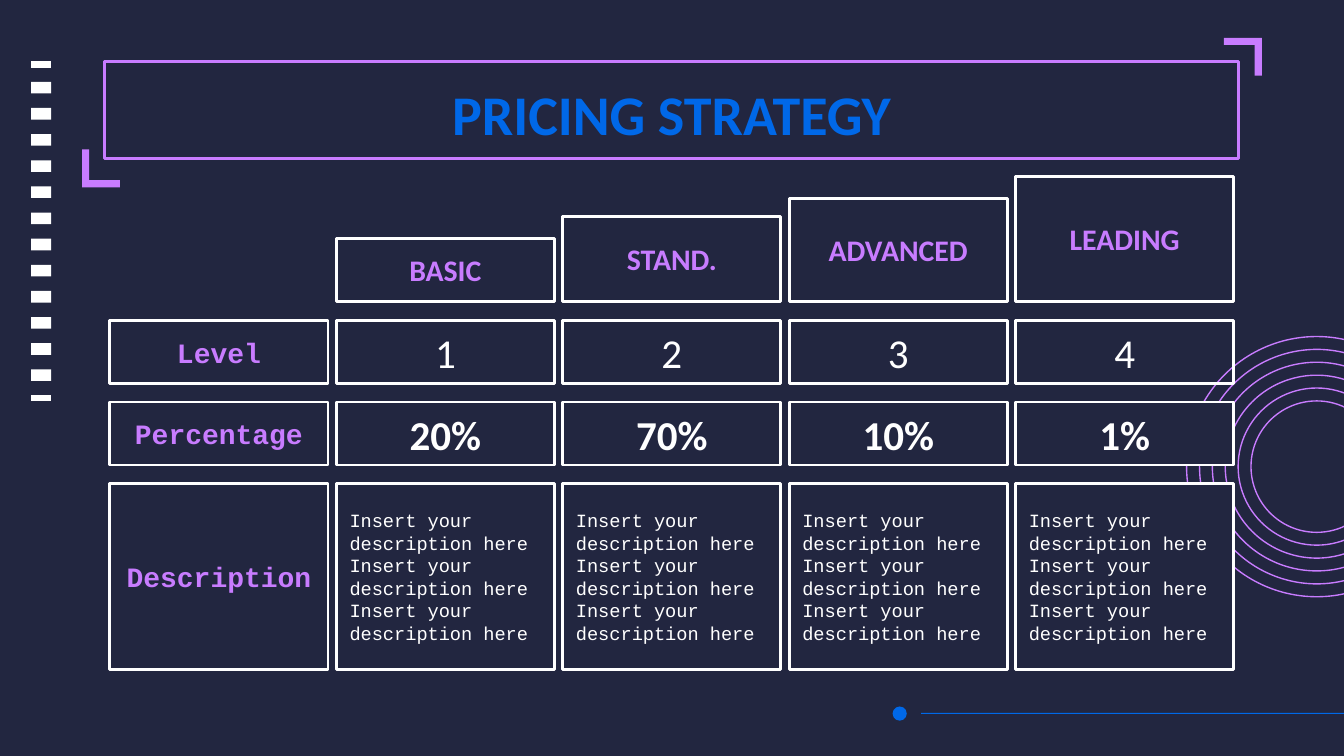
from pptx import Presentation
from pptx.dml.color import RGBColor
from pptx.enum.shapes import MSO_SHAPE
from pptx.enum.text import MSO_ANCHOR, PP_ALIGN
from pptx.util import Pt

RECT, OVAL = MSO_SHAPE.RECTANGLE, MSO_SHAPE.OVAL
TOP, MIDDLE = MSO_ANCHOR.TOP, MSO_ANCHOR.MIDDLE
LEFT, CENTER = PP_ALIGN.LEFT, PP_ALIGN.CENTER
NAVY, WHITE, PURPLE, BLUE = "222640", "FFFFFF", "C87CFF", "0068E8"
SANS, MONO = "Calibri", "Courier New"


def color(code):
    return RGBColor.from_string(code)


def write(shape, text, size=22, font=SANS, ink=WHITE, bold=False,
          align=CENTER, anchor=MIDDLE):
    frame = shape.text_frame
    frame.word_wrap = True
    frame.vertical_anchor = anchor
    frame.margin_left = frame.margin_right = Pt(7.2)
    frame.margin_top = frame.margin_bottom = Pt(7.2)
    para = frame.paragraphs[0]
    para.alignment = align
    run = para.add_run()
    run.text = text
    run.font.size = Pt(size)
    run.font.name = font
    run.font.bold = bold
    run.font.color.rgb = color(ink)


def block(x, y, w, h):
    return [(x, y), (x, y + h), (x + w, y + h), (x + w, y)]


class Deck:
    def __init__(self, width, height, back):
        self.show = Presentation()
        self.show.slide_width = Pt(width)
        self.show.slide_height = Pt(height)
        self.slide = self.show.slides.add_slide(self.show.slide_layouts[6])
        self.shapes = self.slide.shapes
        fill = self.slide.background.fill
        fill.solid()
        fill.fore_color.rgb = color(back)

    def style(self, shape, fill, line, weight):
        shape.shadow.inherit = False
        if fill:
            shape.fill.solid()
            shape.fill.fore_color.rgb = color(fill)
        else:
            shape.fill.background()
        if line:
            shape.line.color.rgb = color(line)
            shape.line.width = Pt(weight)
        else:
            shape.line.fill.background()
        return shape

    def box(self, x, y, w, h, fill=None, line=None, weight=1.5, kind=RECT):
        shape = self.shapes.add_shape(kind, Pt(x), Pt(y), Pt(w), Pt(h))
        return self.style(shape, fill, line, weight)

    def disc(self, x, y, r, **look):
        return self.box(x - r, y - r, 2 * r, 2 * r, kind=OVAL, **look)

    def outline(self, paths, fill):
        paths = [[(Pt(x), Pt(y)) for x, y in points] for points in paths]
        build = self.shapes.build_freeform(*paths[0][0])
        for order, points in enumerate(paths):
            if order:
                build.move_to(*points[0])
            build.add_line_segments(points[1:], close=True)
        return self.style(build.convert_to_shape(), fill, None, 0)

    def corner(self, x, y, sign, size=20.3, thick=3.8):
        steps = [(0, 0), (size, 0), (size, -thick), (thick, -thick),
                 (thick, -size), (0, -size)]
        self.outline([[(x + sign * a, y + sign * b) for a, b in steps]], PURPLE)

    def label(self, x, y, w, h, text, **form):
        shape = self.shapes.add_textbox(Pt(x), Pt(y), Pt(w), Pt(h))
        write(shape, text, **form)

    def cell(self, col, y, h, text, fill=NAVY, **form):
        shape = self.box(58.9 + 121.3 * col, y, 116.9, h, fill, WHITE)
        write(shape, text, **form)


def main():
    deck = Deck(720, 405, NAVY)

    for ring in range(6):
        deck.disc(705.4, 250, 35.2 + 6.9 * ring, line=PURPLE, weight=0.75)

    left, wide = 16.6, 10.8
    deck.outline([block(left, 32.9, wide, 3.4)], WHITE)
    deck.outline([block(left, 43.9 + 14 * i, wide, 6.2) for i in range(12)],
                 WHITE)
    deck.outline([block(left, 211.7, wide, 3.4)], WHITE)

    deck.box(493.4, 382, 228.6, 0.5, fill=BLUE)
    deck.disc(482, 382.3, 3.8, fill=BLUE)

    deck.label(56, 35.3, 607.7, 77, "PRICING STRATEGY", size=30, ink=BLUE,
               bold=True, anchor=TOP)
    deck.box(56, 33, 607.7, 52, line=PURPLE)
    deck.corner(44, 100.4, 1)
    deck.corner(676, 20.3, -1)

    rows = [("Level", 171.6, 33.8), ("Percentage", 215.4, 33.8),
            ("Description", 259.1, 99.6)]
    for name, y, h in rows:
        deck.cell(0, y, h, name, size=15, font=MONO, ink=PURPLE, bold=True)

    plans = [("BASIC", 33.8, "20%"), ("STAND.", 45.5, "70%"),
             ("ADVANCED", 55.2, "10%"), ("LEADING", 66.9, "1%")]
    about = " ".join(["Insert your description here"] * 3)
    (_, *level), (_, *share), (_, *notes) = rows
    for col, (name, tall, part) in enumerate(plans, 1):
        deck.cell(col, 161.4 - tall, tall, name, size=16, ink=PURPLE, bold=True)
        deck.cell(col, *level, str(col), fill=None)
        deck.cell(col, *share, part, bold=True)
        deck.cell(col, *notes, about, size=10, font=MONO, align=LEFT)

    deck.show.save("out.pptx")


if __name__ == "__main__":
    main()
